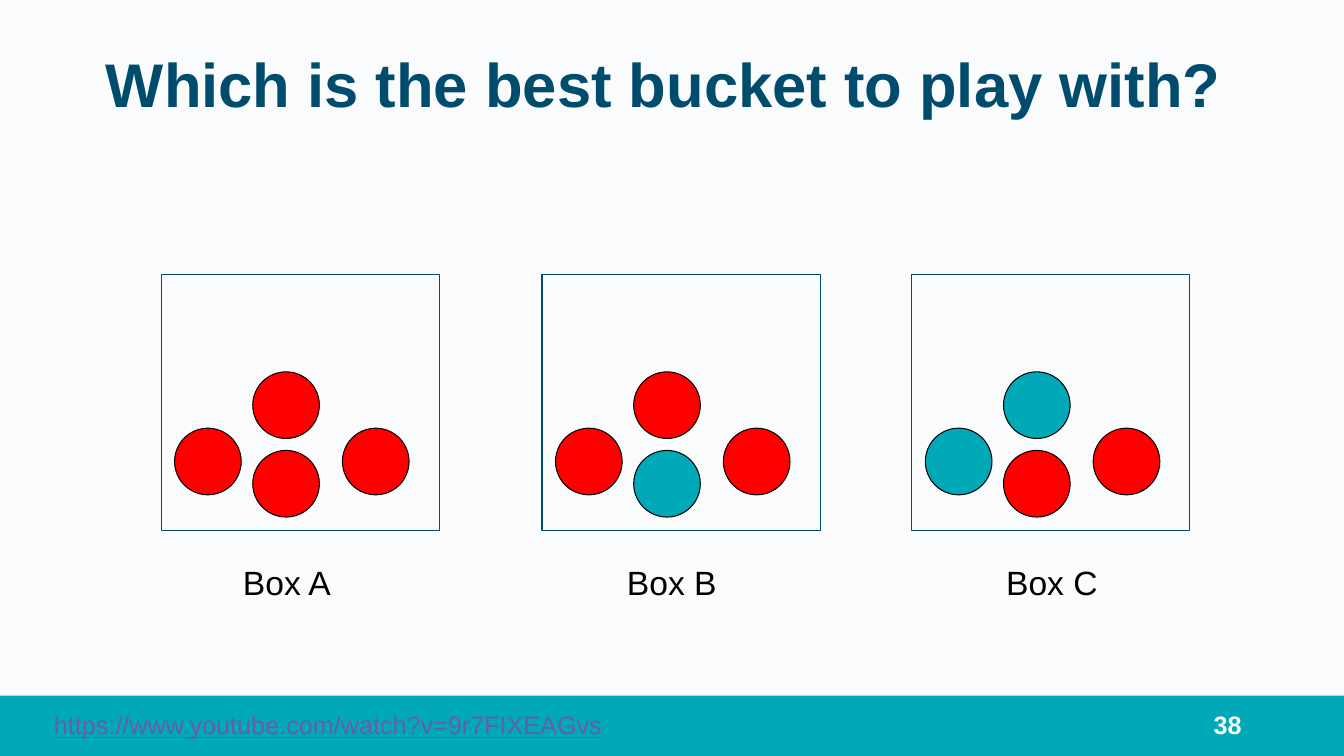
from pptx import Presentation
from pptx import util as u
from pptx.dml.color import RGBColor
from pptx.enum import shapes, text

COLOURS = {
    "background": "FAFBFC",
    "paper": "FAFBFD",
    "navy": "004C6C",
    "teal": "00A9B7",
    "red": "FF0000",
    "black": "000000",
    "link": "6B5CA5",
}
RECT = shapes.MSO_SHAPE.RECTANGLE
OVAL = shapes.MSO_SHAPE.OVAL
ALIGN = text.PP_ALIGN
ANCHOR = text.MSO_ANCHOR


def colour(name):
    return RGBColor.from_string(COLOURS[name])


class SlideBuilder:
    """Holds the style and the current slide."""

    font = "Arial"
    line_width = u.Pt(0.75)

    def __init__(self, deck):
        self.page = deck.slides.add_slide(deck.slide_layouts[5])
        fill = self.page.background.fill
        fill.solid()
        fill.fore_color.rgb = colour("background")

    def set_words(self, shape, words, size, ink, align, anchor, inset, bold=False, underline=None):
        frame = shape.text_frame
        frame.text = words
        frame.word_wrap = True
        frame.auto_size = text.MSO_AUTO_SIZE.NONE
        frame.vertical_anchor = anchor
        frame.margin_left = frame.margin_right = u.Cm(inset[0])
        frame.margin_top = frame.margin_bottom = u.Cm(inset[1])
        para = frame.paragraphs[0]
        para.alignment = align
        font = para.runs[0].font
        font.name, font.size = self.font, u.Pt(size)
        font.bold, font.underline = bold, underline
        font.color.rgb = colour(ink)
        return para

    def title(self, words, left, top, width, height):
        title = self.page.shapes.title
        title.left, title.top = u.Cm(left), u.Cm(top)
        title.width, title.height = u.Cm(width), u.Cm(height)
        para = self.set_words(title, words, 44, "navy", ALIGN.LEFT, ANCHOR.TOP,
                              (0.34, 0.34), bold=True)
        para.line_spacing = 0.9
        para.space_before = u.Pt(0)

    def shape(self, kind, left, top, width, height, fill, line=None):
        shape = self.page.shapes.add_shape(
            kind, u.Cm(left), u.Cm(top), u.Cm(width), u.Cm(height))
        shape.shadow.inherit = False
        shape.fill.solid()
        shape.fill.fore_color.rgb = colour(fill)
        if line:
            shape.line.color.rgb = colour(line)
            shape.line.width = self.line_width
        else:
            shape.line.fill.background()

    def label(self, words, left, top, width, height, size, ink, align,
              anchor=ANCHOR.MIDDLE, inset=(0.25, 0.13), **style):
        box = self.page.shapes.add_textbox(
            u.Cm(left), u.Cm(top), u.Cm(width), u.Cm(height))
        self.set_words(box, words, size, ink, align, anchor, inset, **style)


# Bucket geometry in cm; ball places are relative to the bucket's corner
BUCKET_TOP, BUCKET_WIDTH, BUCKET_HEIGHT = 6.93, 7.01, 6.43
BALL = 1.68
BALL_PLACES = [(0.34, 3.86), (2.31, 4.42), (4.57, 3.86), (2.31, 2.44)]

# Name, bucket left, label left, ball colours
BUCKETS = [
    ("Box A", 4.06, 5.49, ("red", "red", "red", "red")),
    ("Box B", 13.66, 15.19, ("red", "teal", "red", "red")),
    ("Box C", 22.98, 24.77, ("teal", "red", "red", "teal")),
]


def main():
    deck = Presentation()
    deck.slide_width, deck.slide_height = u.Cm(33.87), u.Cm(19.05)
    slide = SlideBuilder(deck)

    # Title
    slide.title("Which is the best bucket to play with?", 2.33, 1.02, 29.21, 3.68)

    # Footer band with link and page number
    slide.shape(RECT, 0, 17.53, 33.87, 1.52, "teal")
    slide.label("https://www.youtube.com/watch?v=9r7FIXEAGvs", 1.11, 17.75, 16, 1.02,
                18, "link", ALIGN.LEFT, underline=True)
    slide.label("38", 23.92, 17.75, 7.62, 1.02, 18, "paper", ALIGN.RIGHT, bold=True)

    # Buckets with balls and names
    for name, left, label_left, balls in BUCKETS:
        slide.shape(RECT, left, BUCKET_TOP, BUCKET_WIDTH, BUCKET_HEIGHT, "paper", "navy")
        for (across, down), fill in zip(BALL_PLACES, balls):
            slide.shape(OVAL, left + across, BUCKET_TOP + down, BALL, BALL, fill, "black")
        slide.label(name, label_left, 13.82, 3.48, 1.7, 24, "black", ALIGN.CENTER,
                    ANCHOR.TOP, (0.34, 0.34))

    deck.save("out.pptx")


if __name__ == "__main__":
    main()
